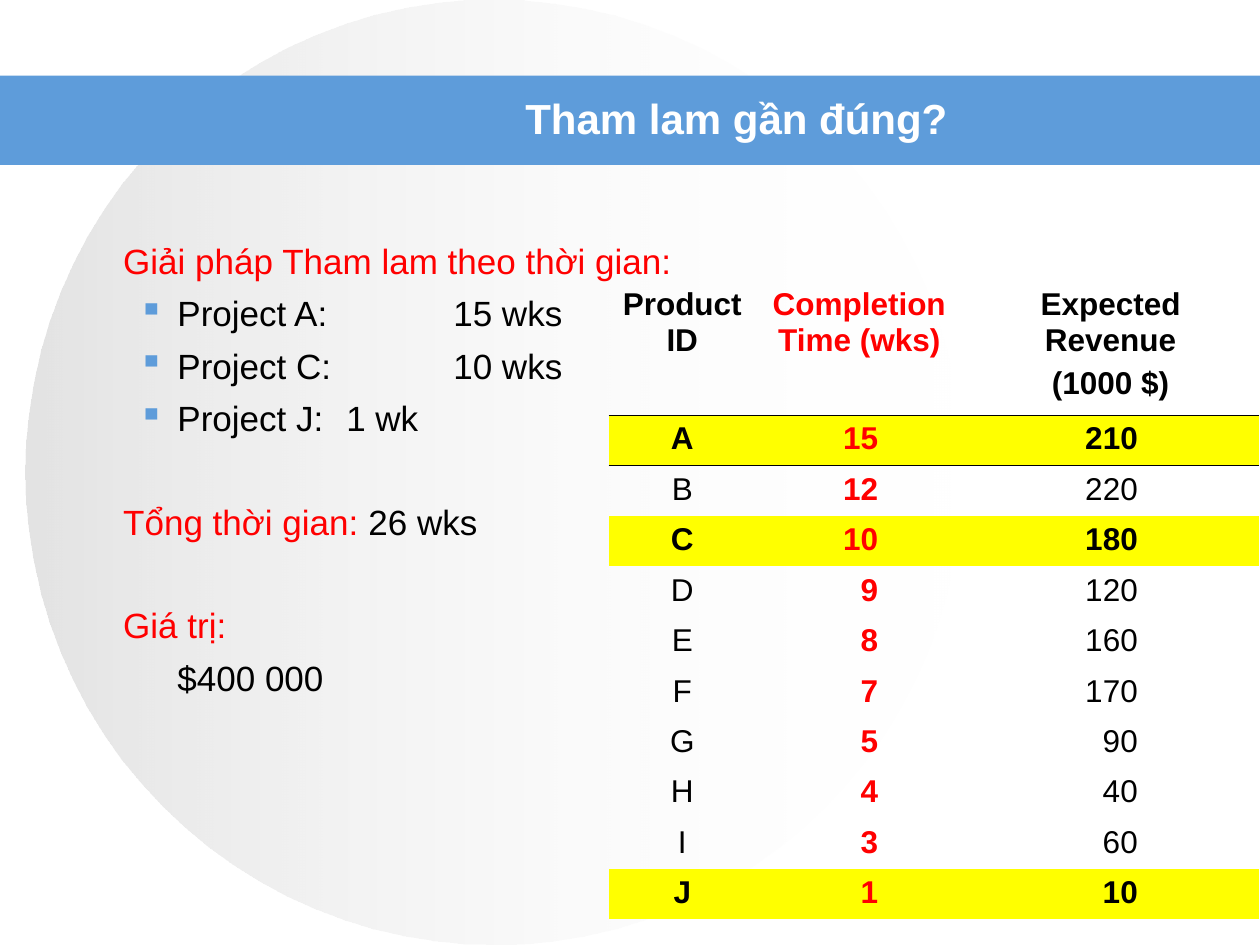
from dataclasses import dataclass

from lxml import etree
from pptx import Presentation
from pptx.dml.color import RGBColor
from pptx.enum.shapes import MSO_SHAPE
from pptx.enum.text import MSO_ANCHOR, PP_ALIGN
from pptx.oxml.ns import qn
from pptx.util import Inches, Pt

OVAL, RECT = MSO_SHAPE.OVAL, MSO_SHAPE.RECTANGLE
MIDDLE = MSO_ANCHOR.MIDDLE
CENTER, RIGHT = PP_ALIGN.CENTER, PP_ALIGN.RIGHT

FONT = "Arial"
COLORS = {"black": "000000", "white": "FFFFFF", "red": "FF0000",
          "blue": "5E9CDA", "yellow": "FFFF00", "gray": "C0C0C0"}
NO_STYLE = "{2D5ABB26-0587-4C30-8999-92F81FD0307C}"


@dataclass
class Line:
    spans: list[tuple[str, str]]
    indent: float = 0.38
    before: float = 6
    bullet: bool = False
    tab: float = 0


@dataclass
class Column:
    width: float
    heads: list[str]
    values: list[str]
    color: str = "black"
    align: PP_ALIGN = RIGHT
    margin: float = 0.1


LINES = [
    Line([("Giải pháp Tham lam theo thời gian:", "red")], before=0),
    Line([("Project A:\t15 wks", "black")], 0.81, bullet=True, tab=3),
    Line([("Project C:\t10 wks", "black")], 0.81, bullet=True, tab=3),
    Line([("Project J:\t1 wk", "black")], 0.81, bullet=True, tab=2.15),
    Line([("Tổng thời gian: ", "red"), ("26 wks", "black")], before=35),
    Line([("Giá trị:", "red")], before=35),
    Line([("$400 000", "black")], 0.81),
]
COLUMNS = [
    Column(1.17, ["Product ID"], list("ABCDEFGHIJ"), align=CENTER),
    Column(1.64, ["Completion Time (wks)"],
           ["15", "12", "10", "9", "8", "7", "5", "4", "3", "1"],
           "red", margin=0.67),
    Column(2.35, ["Expected Revenue", "(1000 $)"],
           ["210", "220", "180", "120", "160", "170", "90", "40", "60", "10"],
           margin=0.96),
]
CHOSEN = {"A", "C", "J"}


def rgb(name: str) -> RGBColor:
    return RGBColor.from_string(COLORS[name])


def set_font(font, size: float, color: str, bold: bool = False) -> None:
    font.name, font.size, font.bold = FONT, Pt(size), bold
    font.color.rgb = rgb(color)


def add_plain(slide, kind, x: float, y: float, w: float, h: float):
    """Add a preset shape without shadow or outline."""
    shape = slide.shapes.add_shape(kind, Inches(x), Inches(y), Inches(w), Inches(h))
    shape.shadow.inherit = False
    shape.line.fill.background()
    return shape


def add_backdrop(slide) -> None:
    circle = add_plain(slide, OVAL, 0.2, 0, 7.44, 7.5)
    circle.fill.gradient()
    circle.fill.gradient_angle = 0
    for stop, color in zip(circle.fill.gradient_stops, ("gray", "white")):
        stop.color.rgb = rgb(color)
    tints = circle._element.spPr.find(qn("a:gradFill")).iter(qn("a:srgbClr"))
    for tint, alpha in zip(tints, (44000, 0)):
        etree.SubElement(tint, qn("a:alpha"), val=str(alpha))
    band = add_plain(slide, RECT, 0, 0.6, 10, 0.71)
    band.fill.solid()
    band.fill.fore_color.rgb = rgb("blue")


def add_title(slide, text: str) -> None:
    title = slide.shapes.title
    title.left, title.top = Inches(1.72), Inches(0.67)
    title.width, title.height = Inches(8.25), Inches(0.53)
    slide.shapes._spTree.append(title._element)  # in front of the band
    title.text_frame.text = text
    title.text_frame.vertical_anchor = MIDDLE
    para = title.text_frame.paragraphs[0]
    para.alignment = CENTER
    set_font(para.font, 24, "white", True)


def format_line(para, line: Line) -> None:
    props = para._p.get_or_add_pPr()
    props.set("marL", str(Inches(line.indent)))
    if line.bullet:
        props.set("indent", str(Inches(-0.31)))
        tint = etree.SubElement(props, qn("a:buClr"))
        etree.SubElement(tint, qn("a:srgbClr"), val=COLORS["blue"])
        etree.SubElement(props, qn("a:buChar"), char="▪")
    if line.tab:
        tabs = etree.SubElement(props, qn("a:tabLst"))
        etree.SubElement(tabs, qn("a:tab"), pos=str(Inches(line.tab)), algn="l")
    para.space_before = Pt(line.before)
    set_font(para.font, 20, line.spans[0][1])
    for text, color in line.spans:
        run = para.add_run()
        run.text = text
        if color != line.spans[0][1]:
            run.font.color.rgb = rgb(color)


def add_body(slide, lines: list[Line]) -> None:
    box = slide.shapes.add_textbox(Inches(0.5), Inches(1.85), Inches(9.04), Inches(5.08))
    frame = box.text_frame
    frame.word_wrap = True
    for i, line in enumerate(lines):
        format_line(frame.add_paragraph() if i else frame.paragraphs[0], line)


def add_edge(cell, side: str) -> None:
    """Draw a thin black line on one side (lnT or lnB) of a cell."""
    props = cell._tc.get_or_add_tcPr()
    edge = etree.Element(qn(f"a:{side}"), w=str(Pt(0.45)))
    fill = etree.SubElement(edge, qn("a:solidFill"))
    etree.SubElement(fill, qn("a:srgbClr"), val=COLORS["black"])
    props.insert(0, edge)


def fill_cell(cell, texts: list[str], color: str, bold: bool, align) -> None:
    cell.text = "\n".join(texts)
    for i, para in enumerate(cell.text_frame.paragraphs):
        para.alignment = align
        para.space_before = Pt(4.5 if i else 0)
        set_font(para.font, 18, color, bold)


def add_grid(slide, columns: list[Column]) -> None:
    count = len(columns[0].values) + 1
    width = sum(col.width for col in columns)
    frame = slide.shapes.add_table(count, len(columns), Inches(4.83), Inches(2.23),
                                   Inches(width), Inches(1.06 + 0.4 * (count - 1)))
    table = frame.table
    table.first_row = table.horz_banding = False
    table._tbl.tblPr.find(qn("a:tableStyleId")).text = NO_STYLE
    for i, row in enumerate(table.rows):
        row.height = Inches(0.4 if i else 1.06)
    for c, col in enumerate(columns):
        table.columns[c].width = Inches(col.width)
        head = table.cell(0, c)
        fill_cell(head, col.heads, col.color, True, CENTER)
        head.fill.background()
        add_edge(head, "lnB")
        for r, value in enumerate(col.values, 1):
            cell = table.cell(r, c)
            chosen = columns[0].values[r - 1] in CHOSEN
            fill_cell(cell, [value], col.color, chosen or col.color == "red", col.align)
            cell.margin_right = Inches(col.margin)
            if chosen:
                cell.fill.solid()
                cell.fill.fore_color.rgb = rgb("yellow")
            else:
                cell.fill.background()
        add_edge(table.cell(1, c), "lnT")


def main() -> None:
    deck = Presentation()
    deck.slide_width, deck.slide_height = Inches(10), Inches(7.5)
    slide = deck.slides.add_slide(deck.slide_layouts[5])
    add_backdrop(slide)
    add_title(slide, "Tham lam gần đúng?")
    add_body(slide, LINES)
    add_grid(slide, COLUMNS)
    deck.save("out.pptx")


if __name__ == "__main__":
    main()
